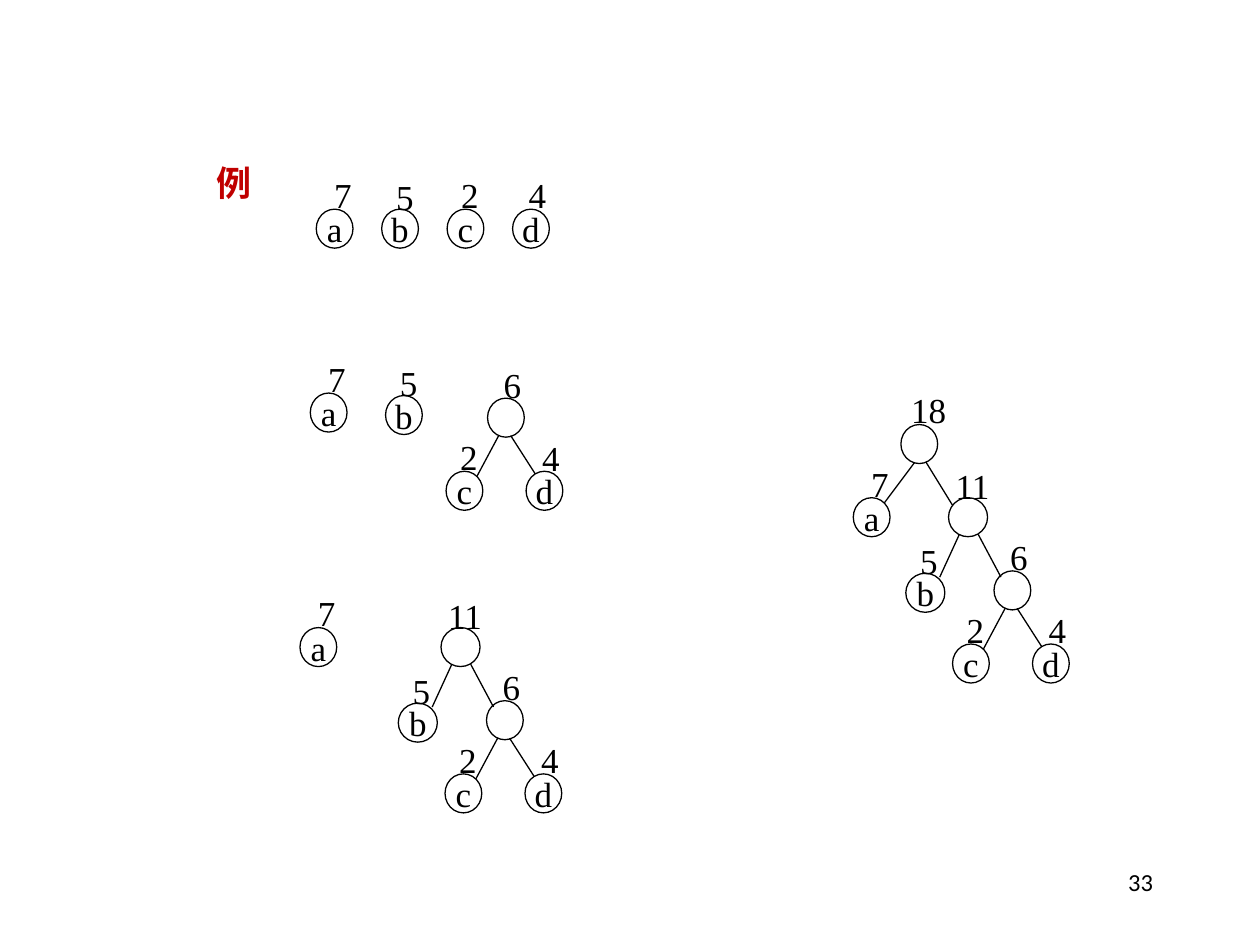
"""Build a slide that shows the steps of making a Huffman tree."""
from lxml import etree
from pptx import Presentation
from pptx.dml.color import RGBColor
from pptx.enum import shapes, text
from pptx.oxml import ns
from pptx.util import Pt

BLACK = RGBColor(0, 0, 0)
RED = RGBColor(0xC0, 0, 0)
WIDE, TALL = 21, 22.3

deck = Presentation()
deck.slide_width, deck.slide_height = Pt(720), Pt(540)
slide = deck.slides.add_slide(deck.slide_layouts[6])


def write(shape, words, color=BLACK, bold=None):
    frame = shape.text_frame
    frame.word_wrap = False
    frame.vertical_anchor = text.MSO_ANCHOR.MIDDLE
    para = frame.paragraphs[0]
    para.alignment = text.PP_ALIGN.CENTER
    run = para.add_run()
    run.text = words
    run.font.name, run.font.size = "Times New Roman", Pt(20)
    run.font.bold = bold
    run.font.color.rgb = color


def label(words, left, top, color=BLACK, bold=None, wide=34.6):
    box = slide.shapes.add_textbox(Pt(left), Pt(top), Pt(wide), Pt(31.7))
    write(box, words, color, bold)
    box.text_frame.auto_size = text.MSO_AUTO_SIZE.SHAPE_TO_FIT_TEXT


# weight: letter, label offset
kinds = {
    "7": ("a", 3, -24.2), "5": ("b", 1, -23), "2": ("c", 0.8, -24.2),
    "4": ("d", 2, -24), "6": ("", 2, -23.8), "11": ("", -3.6, -23),
    "18": ("", -1.5, -24.2),
}

nodes = [(w, 180.7 + 37.4 * i, 119.5, WIDE) for i, w in enumerate("7524")]
nodes += [
    ("7", 177.3, 224.6, WIDE), ("5", 220.3, 226, WIDE),
    ("7", 171.4, 358.6, WIDE), ("7", 487.6, 284.4, WIDE),
    ("18", 514.8, 242.6, WIDE),
]
edges = [(522.7, 264.2, 505.4, 287.3), (529.2, 264.2, 544.3, 288.7)]
sixes = [(278.6, 227.5)]

for x, y in [(252, 358.6), (542, 284.4)]:
    nodes += [("11", x, y, TALL), ("5", x - 24.4, y + 43.2, TALL)]
    edges += [(x + 6.2, y + 21, x - 5, y + 45.4),
              (x + 17, y + 21, x + 30, y + 45.4)]
    sixes.append((x + 26, y + 41.8))

for x, y in sixes:
    nodes += [("6", x, y, WIDE), ("2", x - 23.7, y + 41.8, WIDE),
              ("4", x + 22, y + 41.8, WIDE)]
    edges += [(x + 6.4, y + 21.4, x - 6, y + 44.6),
              (x + 13.2, y + 21.4, x + 27.2, y + 43.2)]

label("例", 116.6, 88.6, RED, True)

for weight, x, y, wide in nodes:
    letter, dx, dy = kinds[weight]
    ring = slide.shapes.add_shape(
        shapes.MSO_SHAPE.OVAL, Pt(x), Pt(y), Pt(wide), Pt(TALL))
    ring.shadow.inherit = False
    ring.fill.background()
    ring.line.color.rgb = BLACK
    ring.line.width = Pt(0.75)
    if letter:
        write(ring, letter)
    label(weight, x + dx, y + dy, wide=24.5 if len(weight) == 1 else 34.6)

for edge in edges:
    line = slide.shapes.add_connector(
        shapes.MSO_CONNECTOR.STRAIGHT, *[Pt(v) for v in edge])
    line.line.color.rgb = BLACK
    line.line.width = Pt(0.75)
    etree.SubElement(line._element.spPr, ns.qn("a:effectLst"))

page = slide.shapes.add_textbox(Pt(516.2), Pt(491.8), Pt(149.8), Pt(36))
page.text_frame.word_wrap = True
para = page.text_frame.paragraphs[0]
para.alignment = text.PP_ALIGN.RIGHT
run = para.add_run()
run.text = "33"
run.font.name, run.font.size = "Calibri", Pt(14)
run.font.color.rgb = BLACK

deck.save("out.pptx")
